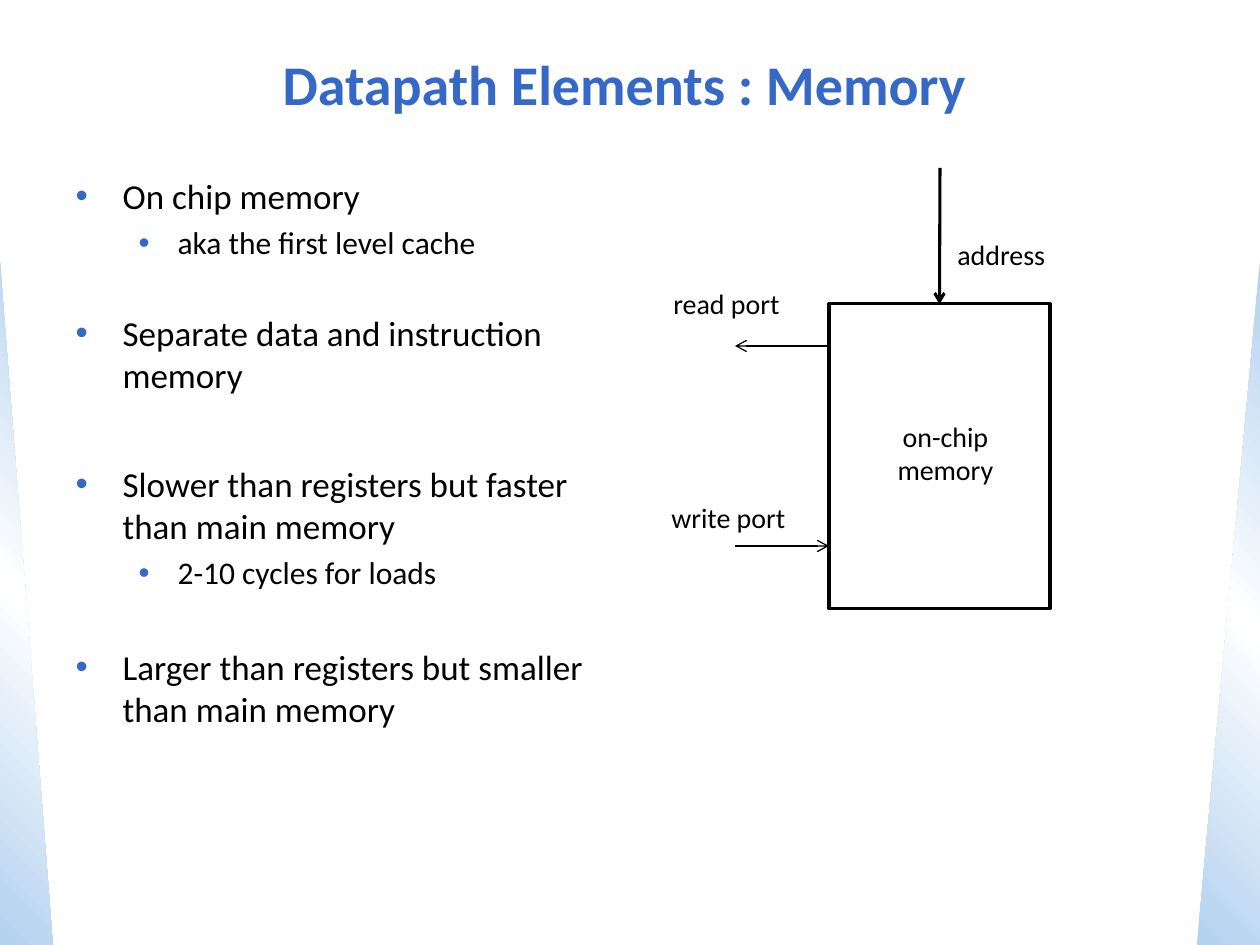
from pptx import Presentation
from pptx.dml.color import RGBColor
from pptx.enum.shapes import MSO_CONNECTOR, MSO_SHAPE
from pptx.enum.text import MSO_ANCHOR, MSO_AUTO_SIZE, PP_ALIGN
from pptx.oxml.ns import qn
from pptx.util import Emu, Pt
from lxml.etree import SubElement

PX = 914400 / 126  # EMU per pixel
BLUE = RGBColor(0x35, 0x68, 0xC7)
PALE = RGBColor(0xB3, 0xD1, 0xF0)
WHITE = RGBColor(0xFF, 0xFF, 0xFF)
BLACK = RGBColor(0, 0, 0)


def px(*lengths):
    return [Emu(round(n * PX)) for n in lengths]


def style(p, size, color=BLACK, bold=False):
    for r in p.runs:
        r.font.name = "Calibri"
        r.font.size = Pt(size)
        r.font.bold = bold
        r.font.color.rgb = color


prs = Presentation()
prs.slide_width, prs.slide_height = px(1260, 945)
slide = prs.slides.add_slide(prs.slide_layouts[1])
shapes = slide.shapes
title, body = shapes.title, slide.placeholders[1]

# Side triangles, sent behind the text
for i, (left, width, angle) in enumerate([(0, 53, 45), (1197, 63, 315)]):
    sp = shapes.add_shape(MSO_SHAPE.RIGHT_TRIANGLE, *px(left, 262, width, 683))
    sp.shadow.inherit = False
    sp.line.fill.background()
    sp.fill.gradient()
    sp.fill.gradient_angle = angle
    stops = sp.fill._fill._gradFill.gsLst
    middle = SubElement(stops, qn("a:gs"), pos="50000")
    SubElement(middle, qn("a:srgbClr"), val=str(WHITE))
    for stop, position in zip(sp.fill.gradient_stops, (0, 1)):
        stop.color.rgb = PALE
        stop.position = position
    stops.insert(1, middle)
    if left:
        sp._element.spPr.xfrm.set("flipH", "1")
    shapes._spTree.insert(2 + i, sp._element)

# Title
title.left, title.top, title.width, title.height = px(31, 31, 1187, 105)
title.text_frame.text = "Datapath Elements : Memory"
title.text_frame.vertical_anchor = MSO_ANCHOR.MIDDLE
p = title.text_frame.paragraphs[0]
p.alignment = PP_ALIGN.CENTER
style(p, 32, BLUE, True)

# Bullets: level, space before in points, text
bullets = [
    (0, 4, "On chip memory"),
    (1, 4, "aka the first level cache"),
    (0, 29, "Separate data and instruction memory"),
    (0, 38, "Slower than registers but faster than main memory"),
    (1, 4, "2-10 cycles for loads"),
    (0, 31, "Larger than registers but smaller than main memory"),
]
body.left, body.top, body.width, body.height = px(63, 168, 557, 703)
tf = body.text_frame
tf.auto_size = MSO_AUTO_SIZE.NONE
tf.text = "\n".join(text for _, _, text in bullets)
for p, (level, space, _) in zip(tf.paragraphs, bullets):
    p.level = level
    p.space_before = Pt(space)
    style(p, 18 if level else 20)
    margin, indent = px(102, -39) if level else px(47, -47)
    pPr = p._p.get_or_add_pPr()
    pPr.set("marL", str(margin))
    pPr.set("indent", str(indent))
    SubElement(SubElement(pPr, qn("a:buClr")), qn("a:srgbClr"), val=str(BLUE))
    SubElement(pPr, qn("a:buFont"), typeface="Arial")
    SubElement(pPr, qn("a:buChar"), char="•")

# Memory block
memory = shapes.add_shape(MSO_SHAPE.RECTANGLE, *px(829, 304, 221, 305))
memory.shadow.inherit = False
memory.fill.background()
memory.line.color.rgb = BLACK
memory.line.width = Pt(1.75)

# Arrows: read port, write port, address
arrows = [
    (829, 346, 735, 346, 0.75),
    (735, 546, 829, 546, 0.75),
    (940, 168, 940, 304, 1.75),
]
for *ends, weight in arrows:
    line = shapes.add_connector(MSO_CONNECTOR.STRAIGHT, *px(*ends))
    line.line.color.rgb = BLACK
    line.line.width = Pt(weight)
    SubElement(line.line._get_or_add_ln(), qn("a:tailEnd"), type="arrow")
    SubElement(line._element.spPr, qn("a:effectLst"))
line.end_connect(memory, 0)  # address enters at the top middle

# Labels
labels = [
    ("read port", 661, 280, 132, 47),
    ("write port", 659, 494, 146, 47),
    ("address", 945, 231, 118, 47),
    ("on-chip\nmemory", 883, 413, 125, 81),
]
for text, *box in labels:
    tf = shapes.add_textbox(*px(*box)).text_frame
    tf.word_wrap = False
    tf.auto_size = MSO_AUTO_SIZE.SHAPE_TO_FIT_TEXT
    tf.text = text
    for p in tf.paragraphs:
        p.alignment = PP_ALIGN.CENTER if "\n" in text else PP_ALIGN.LEFT
        style(p, 16)

prs.save("out.pptx")
